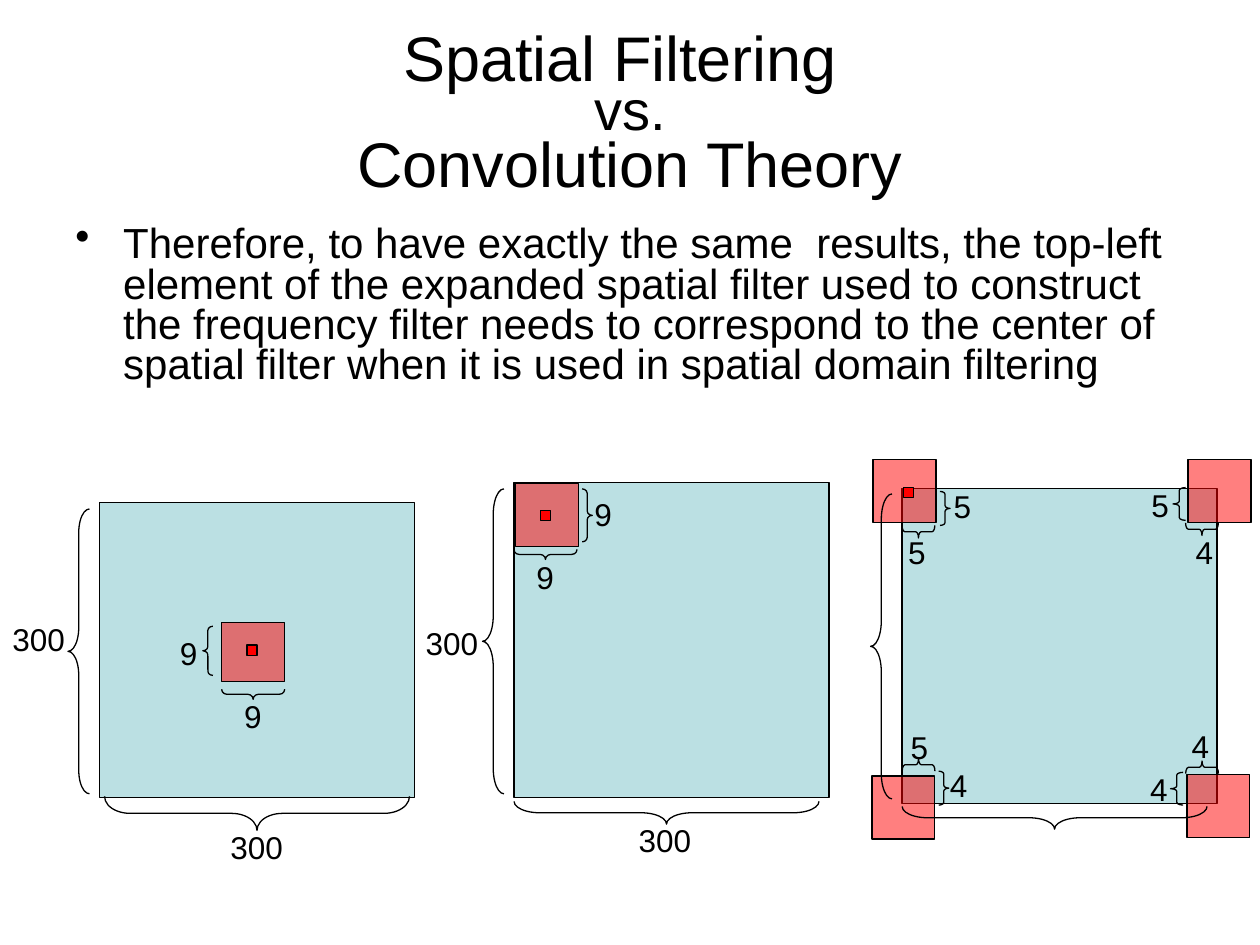
from dataclasses import dataclass
from typing import NamedTuple

from lxml.etree import SubElement
from pptx import Presentation
from pptx.dml.color import RGBColor as RGB
from pptx.enum.shapes import MSO_SHAPE as Shape
from pptx.enum.text import MSO_ANCHOR as Anchor, PP_ALIGN as Align
from pptx.oxml.ns import qn
from pptx.util import Inches, Pt


@dataclass(frozen=True)
class Theme:
    font: str = "Arial"
    ink: RGB = RGB(0, 0, 0)
    image: RGB = RGB(0xBB, 0xE0, 0xE3)
    mask: RGB = RGB(0xFF, 0, 0)
    heading: int = 36
    versus: int = 32
    gap: int = 40
    body: int = 24
    label: int = 18
    line: float = 0.75


class Box(NamedTuple):
    x: float
    y: float
    w: float
    h: float


class Brace(NamedTuple):
    box: Box
    points: str


class Label(NamedTuple):
    text: str
    x: float
    y: float


class Panel(NamedTuple):
    image: Box
    masks: list[Box]
    center: Box
    braces: list[Brace]
    labels: list[Label]


T = Theme()
# Square grid cells, ten columns across the slide
COLS, ROWS = 10, 7.5
CELL = Inches(1)
TURN = {"left": 0, "up": 90, "right": 180, "down": 270}
MASK, DOT = 0.5, 0.08


def grid(*cells: float) -> list[int]:
    return [round(c * CELL) for c in cells]


def square(x: float, y: float, side: float) -> Box:
    return Box(x, y, side, side)


def style_runs(p, size: int) -> None:
    for r in p.runs:
        r.font.name, r.font.size = T.font, Pt(size)
        r.font.color.rgb = T.ink


def draw_rect(s, box: Box, color: RGB, alpha: int = 100) -> None:
    sp = s.shapes.add_shape(Shape.RECTANGLE, *grid(*box))
    sp.shadow.inherit = False
    sp.fill.solid()
    sp.fill.fore_color.rgb = color
    if alpha < 100:
        clr = sp.fill._xPr.find(qn("a:solidFill"))[0]
        SubElement(clr, qn("a:alpha")).set("val", str(alpha * 1000))
    sp.line.color.rgb, sp.line.width = T.ink, Pt(T.line)


def draw_brace(s, brace: Brace) -> None:
    """Fit a left brace, turned about its centre, into the visible box."""
    x, y, w, h = brace.box
    if brace.points in ("up", "down"):
        x, y, w, h = x + (w - h) / 2, y + (h - w) / 2, h, w
    sp = s.shapes.add_shape(Shape.LEFT_BRACE, *grid(x, y, w, h))
    sp.rotation = TURN[brace.points]
    sp.adjustments[0] = h / 12 / w  # each curl takes a twelfth of the length
    sp.shadow.inherit = False
    sp.fill.background()
    sp.line.color.rgb, sp.line.width = T.ink, Pt(T.line)


def draw_label(s, label: Label) -> None:
    width = 0.67 if len(label.text) > 1 else 0.33
    tf = s.shapes.add_textbox(*grid(label.x, label.y, width, 0.4)).text_frame
    tf.word_wrap = False
    tf.text = label.text
    style_runs(tf.paragraphs[0], T.label)


def draw_title(s) -> None:
    tf = s.shapes.add_textbox(*grid(0.5, 0.3, 9, 1.25)).text_frame
    tf.word_wrap, tf.vertical_anchor = True, Anchor.MIDDLE
    p = tf.paragraphs[0]
    p.alignment, p.line_spacing = Align.CENTER, 0.7
    lines = [
        [("Spatial Filtering", T.heading), (" ", T.gap)],
        [("vs.", T.versus)],
        [(" ", T.gap), ("Convolution Theory", T.heading), (" ", T.gap)],
    ]
    for i, line in enumerate(lines):
        if i:
            p.add_line_break()
        for text, size in line:
            r = p.add_run()
            r.text = text
            r.font.name, r.font.size = T.font, Pt(size)
            r.font.color.rgb = T.ink


def draw_body(s) -> None:
    tf = s.shapes.add_textbox(*grid(0.5, 1.75, 9, 1.5)).text_frame
    tf.word_wrap = True
    tf.text = (
        "Therefore, to have exactly the same  results, the top-left element of "
        "the expanded spatial filter used to construct the frequency filter "
        "needs to correspond to the center of spatial filter when it is used "
        "in spatial domain filtering"
    )
    p = tf.paragraphs[0]
    p.line_spacing, p.space_before = 0.8, Pt(6)
    style_runs(p, T.body)
    pPr = p._p.get_or_add_pPr()
    indent = grid(0.38)[0]
    pPr.set("marL", str(indent))
    pPr.set("indent", str(-indent))
    SubElement(pPr, qn("a:buChar")).set("char", "•")


def draw_panel(s, panel: Panel) -> None:
    draw_rect(s, panel.image, T.image)
    for mask in panel.masks:
        draw_rect(s, mask, T.mask, alpha=50)
    draw_rect(s, panel.center, T.mask)
    for brace in panel.braces:
        draw_brace(s, brace)
    for label in panel.labels:
        draw_label(s, label)


PANELS = [
    # Filter in the middle of the image
    Panel(Box(0.79, 3.99, 2.5, 2.34), [Box(1.76, 4.94, MASK, 0.47)],
          square(1.96, 5.12, DOT),
          [Brace(Box(0.54, 4.04, 0.17, 2.26), "left"),
           Brace(Box(0.83, 6.32, 2.42, 0.27), "down"),
           Brace(Box(1.61, 4.97, 0.08, 0.39), "left"),
           Brace(Box(1.76, 5.47, 0.5, 0.08), "down")],
          [Label("300", 0, 4.87), Label("300", 1.73, 6.52),
           Label("9", 1.33, 4.98), Label("9", 1.84, 5.48)]),
    # Filter in the top-left corner
    Panel(square(4.08, 3.83, 2.5), [square(4.09, 3.84, MASK)],
          square(4.29, 4.05, DOT),
          [Brace(Box(3.83, 3.88, 0.17, 2.42), "left"),
           Brace(Box(4.08, 6.36, 2.42, 0.18), "down"),
           Brace(Box(4.62, 3.88, 0.08, 0.42), "right"),
           Brace(Box(4.08, 4.36, 0.5, 0.08), "down")],
          [Label("300", 3.28, 4.9), Label("300", 4.97, 6.47),
           Label("9", 4.62, 3.88), Label("9", 4.16, 4.38)]),
    # Filter wrapped around all four corners
    Panel(square(7.16, 3.88, 2.5),
          [square(x, y, MASK) for x, y in
           [(6.93, 3.65), (9.42, 6.15), (6.92, 6.16), (9.43, 3.65)]],
          square(7.17, 3.87, DOT),
          [Brace(Box(6.91, 3.92, 0.17, 2.42), "left"),
           Brace(Box(7.16, 6.4, 2.42, 0.18), "down"),
           Brace(Box(7.46, 3.9, 0.08, 0.27), "right"),
           Brace(Box(7.16, 4.17, 0.26, 0.1), "down"),
           Brace(Box(7.45, 6.12, 0.08, 0.27), "right"),
           Brace(Box(9.41, 4.15, 0.26, 0.1), "down"),
           Brace(Box(7.16, 6.02, 0.26, 0.1), "up"),
           Brace(Box(9.41, 6.04, 0.26, 0.1), "up"),
           Brace(Box(9.31, 3.87, 0.1, 0.26), "left"),
           Brace(Box(9.29, 6.13, 0.1, 0.26), "left")],
          [Label("5", 7.47, 3.82), Label("5", 7.11, 4.18),
           Label("4", 7.44, 6.03), Label("5", 7.13, 5.73),
           Label("4", 9.39, 4.18), Label("5", 9.04, 3.81),
           Label("4", 9.36, 5.72), Label("4", 9.03, 6.06)]),
]


def main() -> None:
    prs = Presentation()
    prs.slide_width, prs.slide_height = grid(COLS, ROWS)
    s = prs.slides.add_slide(prs.slide_layouts[6])
    draw_title(s)
    draw_body(s)
    for panel in PANELS:
        draw_panel(s, panel)
    prs.save("out.pptx")


if __name__ == "__main__":
    main()
